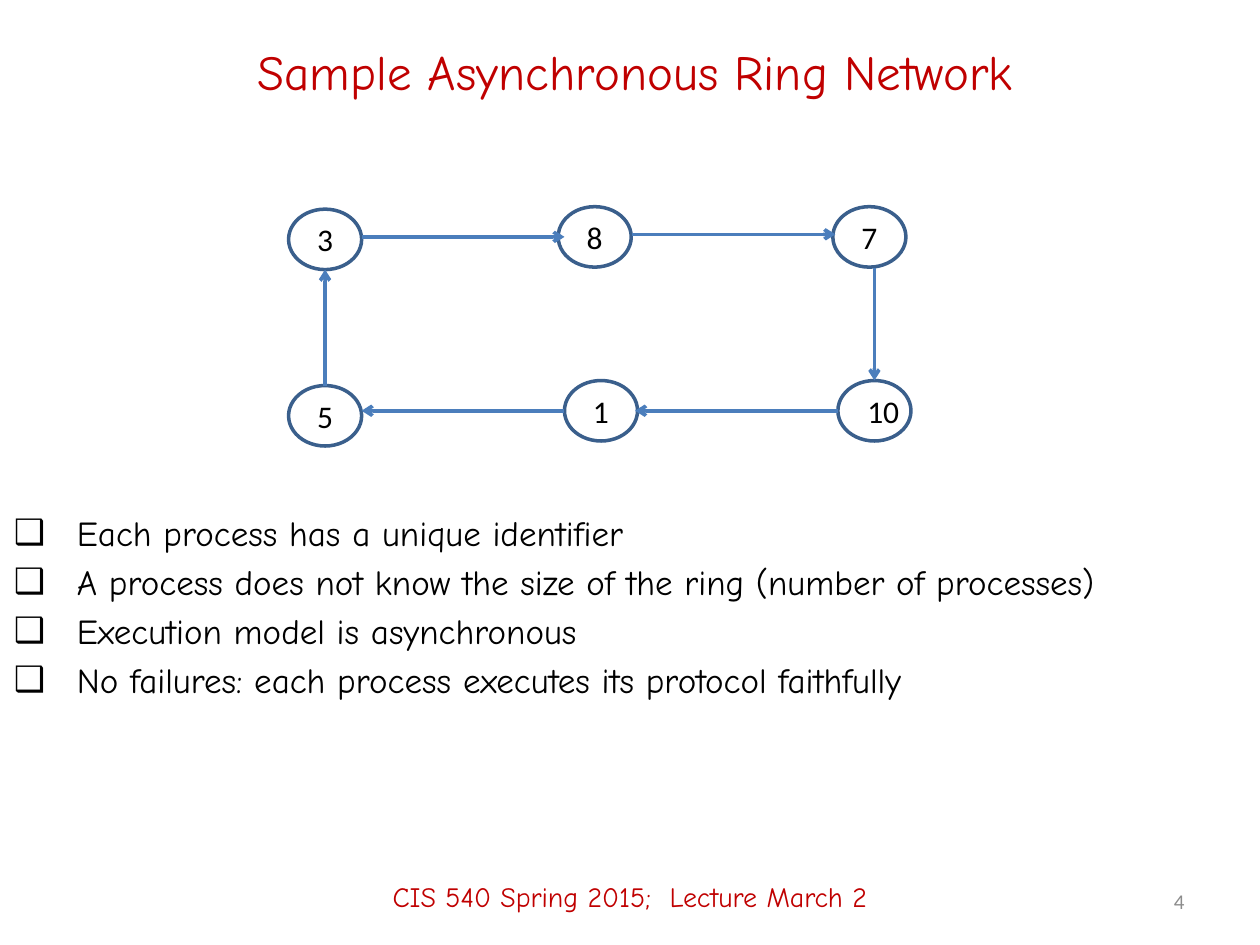
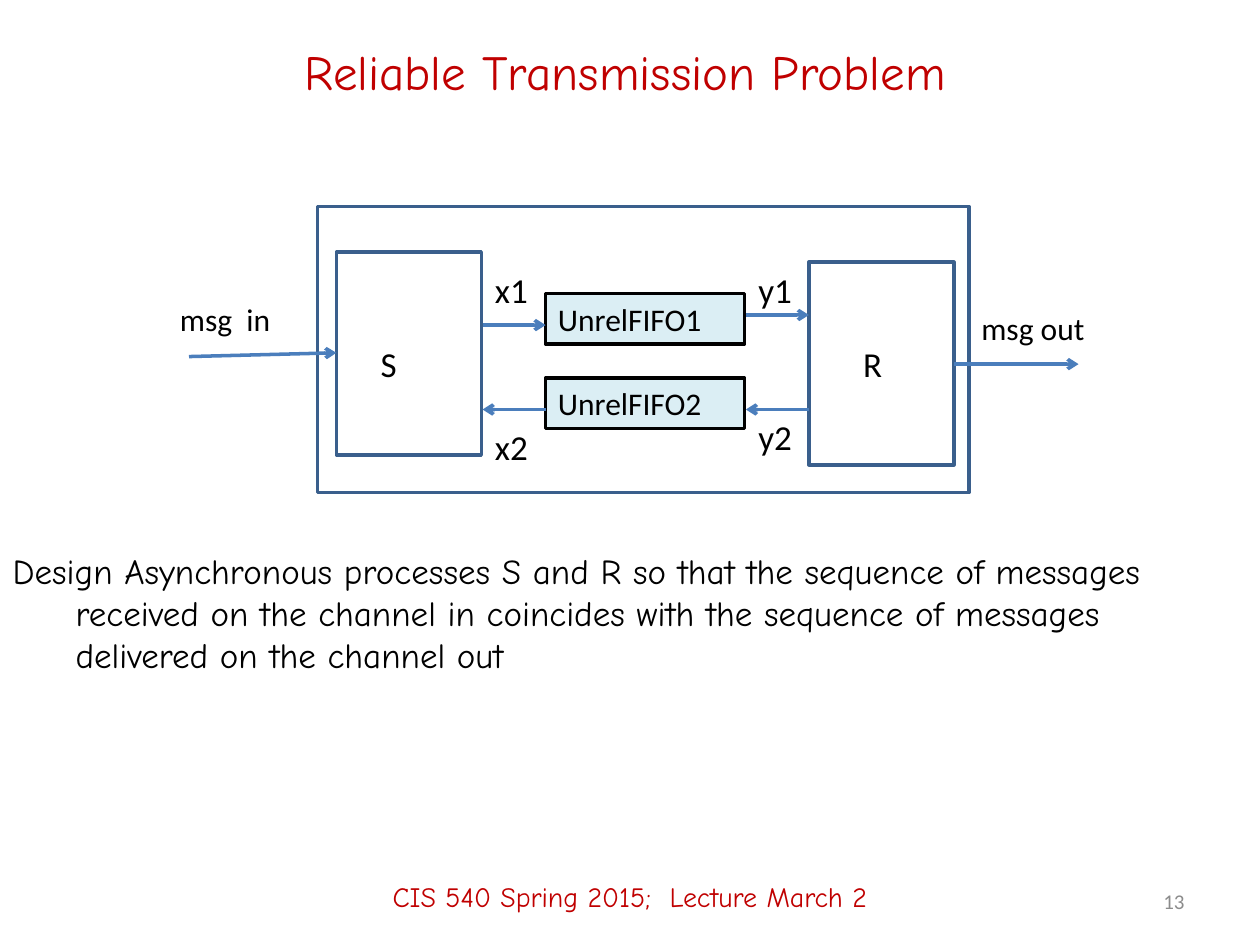
import pptx
import pptx.util
import pptx.dml.color
import pptx.enum.shapes
import pptx.enum.text
import pptx.oxml.ns
from lxml import etree

Inches, Pt = pptx.util.Inches, pptx.util.Pt
SHAPE = pptx.enum.shapes.MSO_SHAPE
ALIGN = pptx.enum.text.PP_ALIGN
ANCHOR = pptx.enum.text.MSO_ANCHOR
qn = pptx.oxml.ns.qn

RED, BLACK, GREY = "C00000", "000000", "8C8C8C"
OUTLINE, ARROW, CHANNEL_FILL = "3A5F8C", "4B7EBC", "DBEEF4"
HAND, PLAIN = "Comic Neue", "Calibri"
FOOTER = "CIS 540 Spring 2015;  Lecture March 2"


def rgb(color):
    return pptx.dml.color.RGBColor.from_string(color)


def set_all(obj, values):
    for name, value in values.items():
        setattr(obj, name, value)


def place(shape, x, y, w, h):
    set_all(shape, {"left": Inches(x), "top": Inches(y),
                    "width": Inches(w), "height": Inches(h)})


def write(p, text, size, color=BLACK, font=PLAIN, align=ALIGN.LEFT):
    p.alignment = align
    r = p.add_run()
    r.text = text
    set_all(r.font, {"size": Pt(size), "name": font})
    r.font.color.rgb = rgb(color)


def add_label(s, text, x, y, w, h, size, anchor=ANCHOR.TOP, **style):
    tf = s.shapes.add_textbox(Inches(x), Inches(y), Inches(w), Inches(h)).text_frame
    set_all(tf, {"word_wrap": True, "vertical_anchor": anchor})
    write(tf.paragraphs[0], text, size, **style)


def add_box(s, kind, x, y, w, h, line=OUTLINE, fill=None):
    sp = s.shapes.add_shape(kind, Inches(x), Inches(y), Inches(w), Inches(h))
    sp.shadow.inherit = False
    if fill:
        sp.fill.solid()
        sp.fill.fore_color.rgb = rgb(fill)
    else:
        sp.fill.background()
    sp.line.color.rgb = rgb(line)
    sp.line.width = Pt(2)
    return sp


def fill_box(sp, text, size, align=ALIGN.LEFT, anchor=ANCHOR.TOP, left=0.1, top=0.05, right=0.0):
    tf = sp.text_frame
    set_all(tf, {"vertical_anchor": anchor, "margin_left": Inches(left),
                 "margin_top": Inches(top), "margin_right": Inches(right),
                 "margin_bottom": 0})
    write(tf.paragraphs[0], text, size, align=align)


def add_arrow(s, x1, y1, x2, y2):
    c = s.shapes.add_connector(pptx.enum.shapes.MSO_CONNECTOR.STRAIGHT,
                               Inches(x1), Inches(y1), Inches(x2), Inches(y2))
    c.line.color.rgb = rgb(ARROW)
    c.line.width = Pt(2)
    etree.SubElement(c.line._get_or_add_ln(), qn("a:tailEnd"), type="arrow")
    etree.SubElement(c._element.spPr, qn("a:effectLst"))


def add_slide(prs, title, number, title_x):
    """Add a slide with its title, footer and number."""
    s = prs.slides.add_slide(prs.slide_layouts[1])
    place(s.shapes.title, title_x, 0.17, 8.58, 0.78)
    tf = s.shapes.title.text_frame
    set_all(tf, {"vertical_anchor": ANCHOR.MIDDLE, "word_wrap": True})
    write(tf.paragraphs[0], title, 28, RED, HAND, ALIGN.CENTER)
    add_label(s, FOOTER, 0, 6.72, 10, 0.78, 16, ANCHOR.MIDDLE,
              color=RED, font=HAND, align=ALIGN.CENTER)
    add_label(s, number, 7.17, 6.95, 2.33, 0.4, 12, ANCHOR.MIDDLE,
              color=GREY, align=ALIGN.RIGHT)
    return s


def fill_body(s, lines, x, y, w, h, bullet=None):
    body = s.placeholders[1]
    place(body, x, y, w, h)
    tf = body.text_frame
    tf.auto_size = pptx.enum.text.MSO_AUTO_SIZE.NONE
    for i, line in enumerate(lines):
        p = tf.add_paragraph() if i else tf.paragraphs[0]
        p.space_before = Pt(4 if i else 0)
        pPr = p._p.get_or_add_pPr()
        pPr.set("marL", str(Inches(0.5)))
        pPr.set("indent", str(-Inches(0.5)))
        if bullet:
            etree.SubElement(pPr, qn("a:buChar"), char=bullet)
        else:
            etree.SubElement(pPr, qn("a:buNone"))
        write(p, line, 20, font=HAND)


def draw_ring(s, x, y):
    """Draw the six processes and the arrows around the ring."""
    processes = [("3", 0, 0.02), ("8", 2.14, 0), ("7", 4.32, 0),
                 ("10", 4.36, 1.38), ("1", 2.19, 1.38), ("5", 0, 1.42)]
    for name, dx, dy in processes:
        oval = add_box(s, SHAPE.OVAL, x + dx, y + dy, 0.58, 0.48)
        fill_box(oval, name, 18, ALIGN.CENTER, ANCHOR.MIDDLE,
                 left=0.14 if name == "10" else 0, top=0)
    hops = [(0.58, 0.24, 2.19, 0.24), (2.73, 0.22, 4.34, 0.22),
            (4.65, 0.49, 4.65, 1.38), (4.36, 1.62, 2.75, 1.62),
            (2.19, 1.62, 0.58, 1.62), (0.29, 1.42, 0.29, 0.5)]
    for x1, y1, x2, y2 in hops:
        add_arrow(s, x + x1, y + y1, x + x2, y + y2)


def draw_transmission(s, x, y):
    """Draw sender, receiver and the two channels inside the system box."""
    add_box(s, SHAPE.RECTANGLE, x, y, 5.17, 2.27)
    for name, dx, dy, left, top in [("S", 0.15, 0.36, 0.35, 0.72),
                                    ("R", 3.9, 0.44, 0.43, 0.64)]:
        process = add_box(s, SHAPE.RECTANGLE, x + dx, y + dy, 1.15, 1.61)
        fill_box(process, name, 20, left=left, top=top)
    for i in range(2):
        channel = add_box(s, SHAPE.RECTANGLE, x + 1.81, y + 0.69 + 0.67 * i,
                          1.58, 0.4, BLACK, CHANNEL_FILL)
        fill_box(channel, f"UnrelFIFO{i + 1}", 18)
    flows = [(-1.02, 1.19, 0.15, 1.16), (5.05, 1.25, 6.04, 1.25),
             (1.31, 0.94, 1.81, 0.94), (3.4, 0.86, 3.9, 0.86),
             (3.9, 1.61, 3.4, 1.61), (1.81, 1.61, 1.31, 1.61)]
    for x1, y1, x2, y2 in flows:
        add_arrow(s, x + x1, y + y1, x + x2, y + y2)
    labels = [("msg  in", -1.19, 0.69, 1.05, 18), ("msg out", 5.17, 0.76, 1.1, 18),
              ("x1", 1.31, 0.44, 0.5, 20), ("y1", 3.4, 0.44, 0.58, 20),
              ("x2", 1.31, 1.69, 0.5, 20), ("y2", 3.4, 1.61, 0.58, 20)]
    for text, dx, dy, w, size in labels:
        add_label(s, text, x + dx, y + dy, w, size * 0.022, size)


def main():
    prs = pptx.Presentation()
    prs.slide_width, prs.slide_height = Inches(10), Inches(7.5)

    s = add_slide(prs, "Sample Asynchronous Ring Network", "4", 0.75)
    draw_ring(s, 2.29, 1.64)
    fill_body(s, ["Each process has a unique identifier",
                  "A process does not know the size of the ring (number of processes)",
                  "Execution model is asynchronous",
                  "No failures: each process executes its protocol faithfully"],
              0.01, 4.01, 9.83, 2.7, bullet="❑")

    s = add_slide(prs, "Reliable Transmission Problem", "13", 0.67)
    draw_transmission(s, 2.52, 1.64)
    fill_body(s, ["Design Asynchronous processes S and R so that the sequence of messages "
                  "received on the channel in coincides with the sequence of messages "
                  "delivered on the channel out"],
              0, 4.31, 9.83, 2.4)
    prs.save("out.pptx")


if __name__ == "__main__":
    main()
